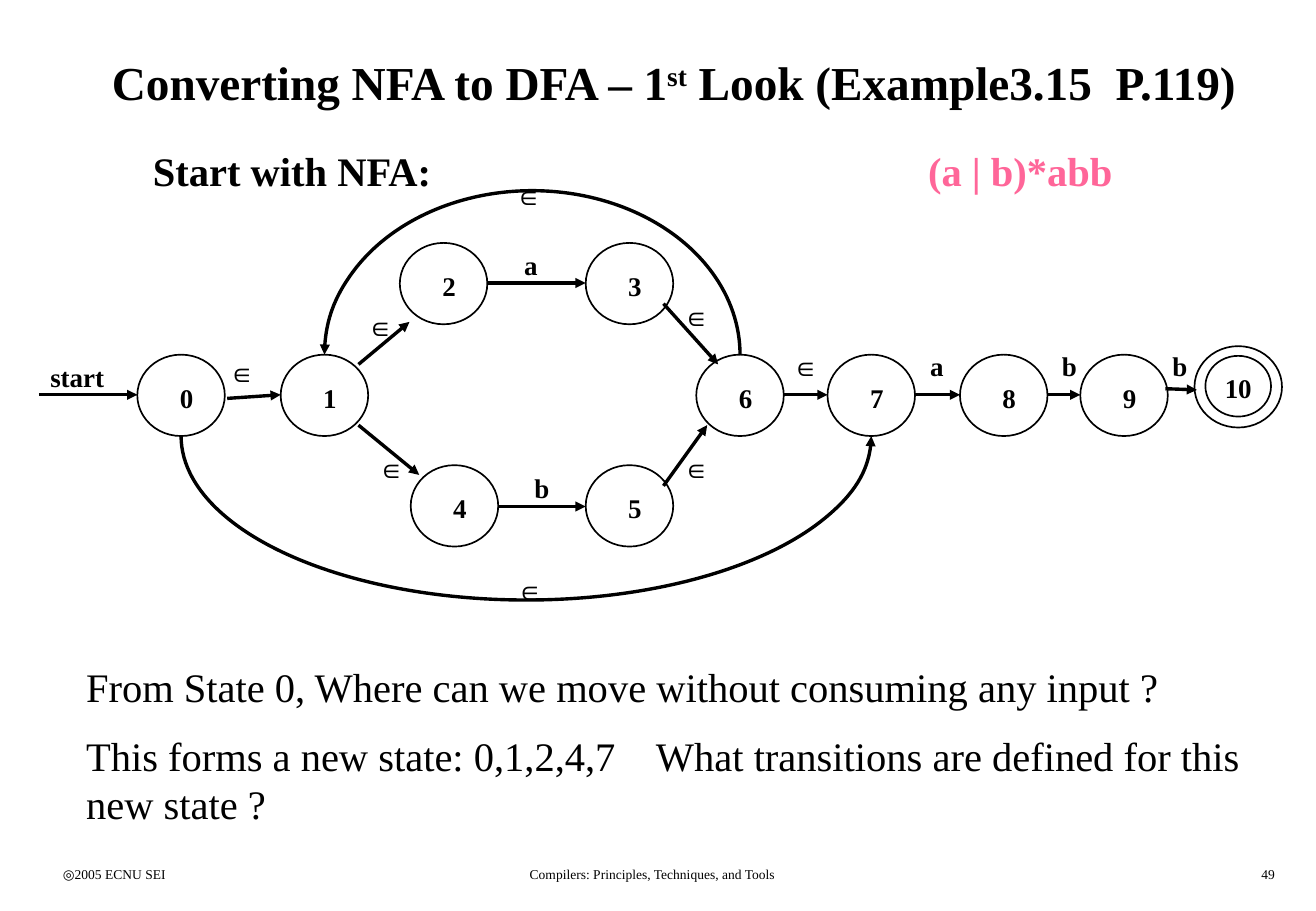
from lxml import etree
from pptx import Presentation
from pptx.dml.color import RGBColor
from pptx.enum.shapes import MSO_CONNECTOR, MSO_SHAPE
from pptx.enum.text import MSO_ANCHOR, PP_ALIGN
from pptx.oxml.ns import qn
from pptx.util import Inches, Pt

FONT, BLACK, PINK = "Times New Roman", "000000", "FF6699"
NODE_W, NODE_H = 0.72, 0.67
LABEL_H = 0.37
LABEL = {"size": 16, "bold": True}
FOOTER = {"size": 8}

# State number: left, top of its circle
STATES = {
    "0": (1.13, 2.92), "1": (2.31, 2.92), "2": (3.29, 2), "3": (4.82, 2),
    "4": (3.38, 3.83), "5": (4.82, 3.83), "6": (5.73, 2.92),
    "7": (6.81, 2.92), "8": (7.9, 2.92), "9": (8.89, 2.92),
}
FINAL_STATE = "10"
FINAL_RINGS = [(9.83, 2.85, NODE_W, NODE_H), (9.92, 2.93, 0.54, 0.5)]

# Arrow start, arrow end, symbol, left and top of the symbol's box
MOVES = [
    ((1.87, 3.28), (2.31, 3.25), "∈", (1.72, 2.88)),
    ((2.95, 3), (3.37, 2.65), "∈", (2.86, 2.5)),
    ((2.95, 3.5), (3.45, 3.91), "∈", (2.95, 3.67)),
    ((4.01, 2.33), (4.82, 2.33), "a", (4.1, 2)),
    ((4.1, 4.17), (4.82, 4.17), "b", (4.19, 3.83)),
    ((5.46, 2.5), (5.91, 3), "∈", (5.46, 2.42)),
    ((5.46, 4), (5.82, 3.5), "∈", (5.46, 3.67)),
    ((6.45, 3.25), (6.81, 3.25), "∈", (6.36, 2.83)),
    ((7.53, 3.25), (7.9, 3.25), "a", (7.44, 2.83)),
    ((8.62, 3.25), (8.89, 3.25), "b", (8.53, 2.83)),
    ((9.59, 3.2), (9.85, 3.21), "b", (9.44, 2.83)),
]
START = ((0.32, 3.25), (1.13, 3.25))

# Left end, right end, height of the ends, first and last angle, symbol place
ARC_RISE = 1.35
ARCS = [
    (1.49, 7.17, 3.59, (0, 180), (4.09, 4.67)),
    (2.67, 6.09, 2.92, (180, 0), (4.08, 1.42)),
]

# Place, paragraphs of (text, extra format) spans, format
TEXTS = [
    ((0.42, 0.17, 10.25, 1),
     [[("Converting NFA to DFA – 1", {}), ("st", {"baseline": 30000}),
       (" Look (Example3.15  P.119)", {})]],
     {"size": 28, "bold": True, "align": PP_ALIGN.CENTER,
      "anchor": MSO_ANCHOR.MIDDLE}),
    ((1.16, 1.15, 9.3, 0.5),
     [[("Start with NFA:\t", {}), ("(a | b)*abb", {"color": PINK})]],
     {"size": 24, "bold": True, "tab": 6.38}),
    ((0.61, 5.4, 9.95, 1.5),
     [[("From State 0, Where can we move without consuming any input ?", {})],
      [("This forms a new state: 0,1,2,4,7\tWhat transitions are defined "
        "for this new state ?", {})]],
     {"size": 24, "tab": 4.69, "gap": 12}),
    ((0.42, 7.08, 2.26, 0.25), [[("◎2005 ECNU SEI", {})]], FOOTER),
    ((3.34, 7.08, 4.06, 0.25),
     [[("Compilers: Principles, Techniques, and Tools", {})]],
     {**FOOTER, "align": PP_ALIGN.CENTER}),
    ((8.33, 7.08, 2.26, 0.25), [[("49", {})]],
     {**FOOTER, "align": PP_ALIGN.RIGHT}),
]


def rgb(value):
    return RGBColor.from_string(value)


def add_text(page, place, paragraphs, look):
    box = page.shapes.add_textbox(*map(Inches, place))
    frame = box.text_frame
    frame.word_wrap = True
    frame.vertical_anchor = look.get("anchor", MSO_ANCHOR.TOP)
    for index, spans in enumerate(paragraphs):
        para = frame.add_paragraph() if index else frame.paragraphs[0]
        para.alignment = look.get("align", PP_ALIGN.LEFT)
        if index:
            para.space_before = Pt(look["gap"])
        if "tab" in look:
            tabs = etree.SubElement(para._p.get_or_add_pPr(), qn("a:tabLst"))
            etree.SubElement(tabs, qn("a:tab"), algn="l",
                             pos=str(Inches(look["tab"])))
        for text, extra in spans:
            span = para.add_run()
            span.text = text
            font = {"name": FONT, "size": Pt(look["size"]),
                    "bold": look.get("bold", False)}
            for key, value in font.items():
                setattr(span.font, key, value)
            span.font.color.rgb = rgb(extra.get("color", BLACK))
            if "baseline" in extra:
                span._r.get_or_add_rPr().set("baseline", str(extra["baseline"]))


def add_label(page, text, left, top, width=0.54):
    add_text(page, (left, top, width, LABEL_H), [[(text, {})]],
             {**LABEL, "align": PP_ALIGN.CENTER})


def add_outline(page, kind, place, weight):
    """Add an unfilled shape with a black line."""
    shape = page.shapes.add_shape(kind, *map(Inches, place))
    shape.shadow.inherit = False
    shape.fill.background()
    shape.line.color.rgb = rgb(BLACK)
    shape.line.width = Pt(weight)
    return shape


def add_tip(shape, end):
    """Put a triangle on the headEnd or tailEnd of a line."""
    etree.SubElement(shape.line._get_or_add_ln(), qn(f"a:{end}"),
                     type="triangle")


def add_arrow(page, start, end):
    arrow = page.shapes.add_connector(MSO_CONNECTOR.STRAIGHT,
                                      *map(Inches, start + end))
    arrow.line.color.rgb = rgb(BLACK)
    arrow.line.width = Pt(2)
    add_tip(arrow, "tailEnd")
    etree.SubElement(arrow._element.spPr, qn("a:effectLst"))


def main():
    deck = Presentation()
    deck.slide_width, deck.slide_height = Inches(10.83), Inches(7.5)
    page = deck.slides.add_slide(deck.slide_layouts[6])

    for place, paragraphs, look in TEXTS:
        add_text(page, place, paragraphs, look)

    for ring in FINAL_RINGS:
        add_outline(page, MSO_SHAPE.OVAL, ring, 1)
    add_label(page, FINAL_STATE, 9.92, 3.01)
    for state, (left, top) in STATES.items():
        add_outline(page, MSO_SHAPE.OVAL, (left, top, NODE_W, NODE_H), 1)
        add_label(page, state, left + 0.18, top + 0.17, 0.45)

    add_arrow(page, *START)
    add_label(page, "start", 0.14, 2.92, 0.99)
    for start, end, symbol, place in MOVES:
        add_arrow(page, start, end)
        add_label(page, symbol, *place)

    for left, right, level, angles, place in ARCS:
        arc = add_outline(page, MSO_SHAPE.ARC, (
            left, level - ARC_RISE, right - left, 2 * ARC_RISE), 2)
        for index, angle in enumerate(angles):
            arc.adjustments[index] = angle * 0.6  # 60000 units per degree
        add_tip(arc, "headEnd")
        add_label(page, "∈", *place)

    deck.save("out.pptx")


if __name__ == "__main__":
    main()
